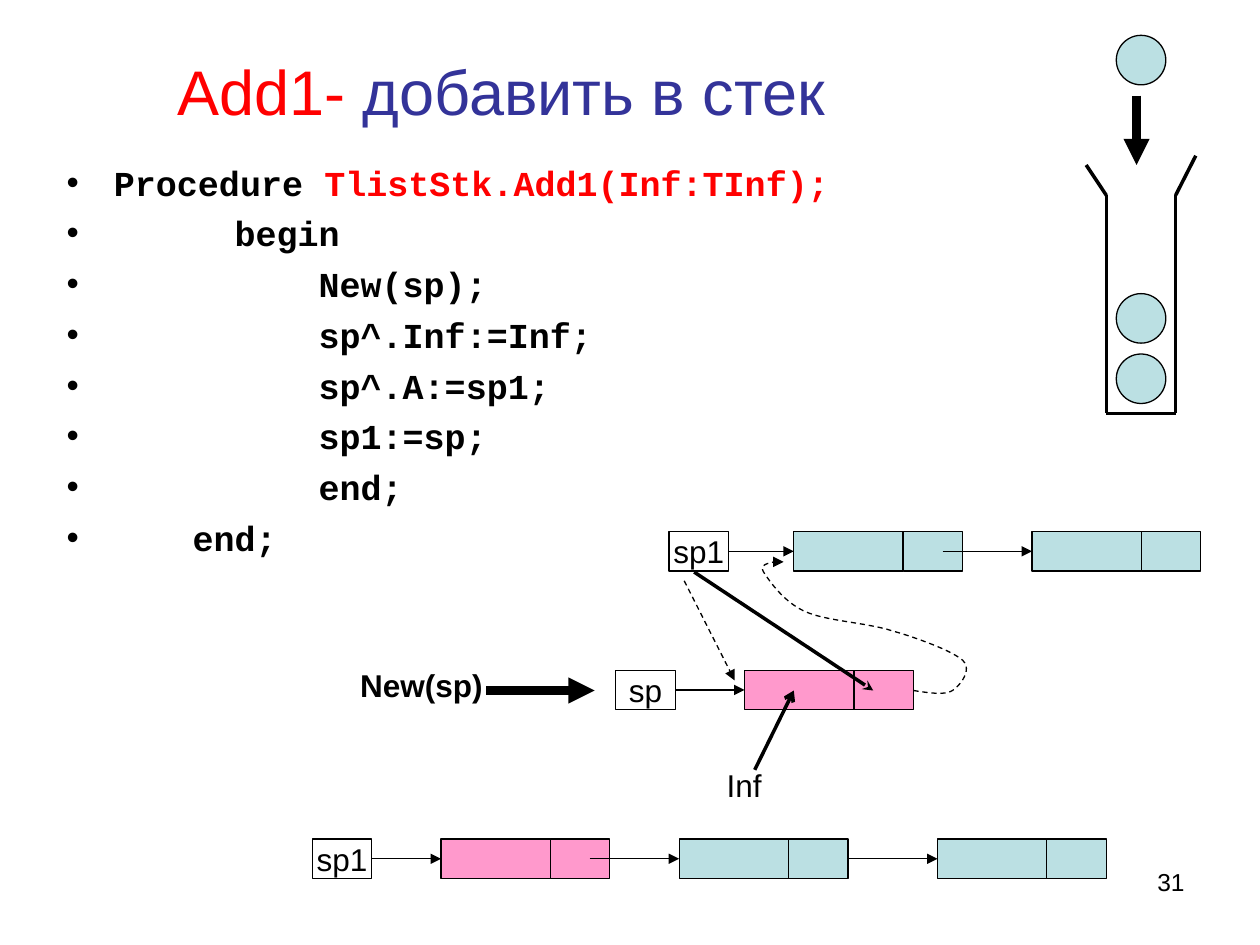
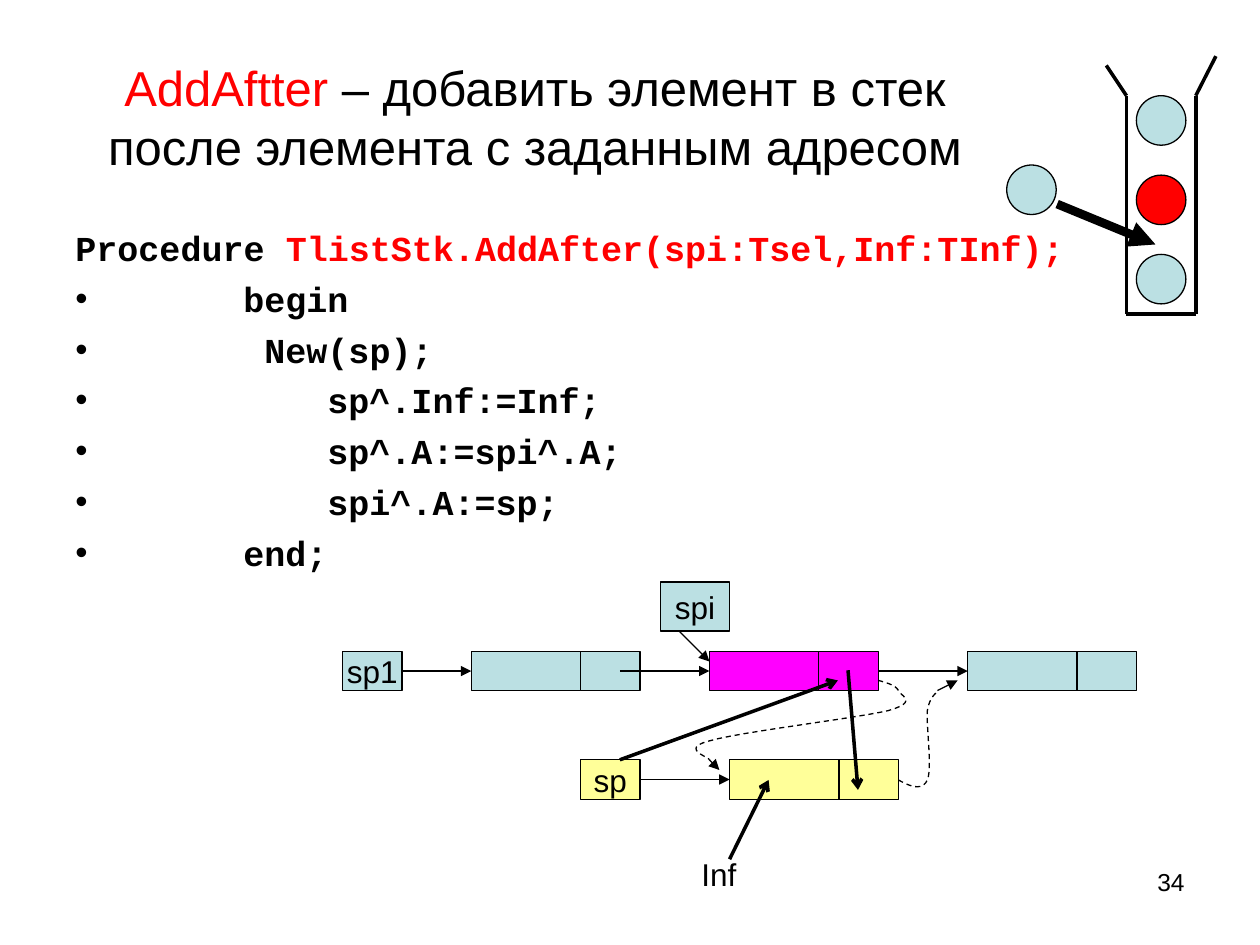
import pptx
import pptx.util
import pptx.dml.color
import pptx.enum.dml
import pptx.enum.shapes
import pptx.enum.text
import pptx.oxml.ns
from lxml import etree

Pt = pptx.util.Pt
SHAPE = pptx.enum.shapes.MSO_SHAPE
ALIGN = pptx.enum.text.PP_ALIGN
ANCHOR = pptx.enum.text.MSO_ANCHOR
qn = pptx.oxml.ns.qn

COLORS = {
    "ink": "000000",
    "accent": "FF0000",
    "heading": "333399",
    "node": "BBE0E3",
    "new": "FF99CC",
    "target": "FF00FF",
    "inserted": "FFFF99",
}
THIN, MEDIUM, THICK = 0.75, 2, 5
DATA_WIDTH, LINK_WIDTH, NODE_HEIGHT = 62.5, 34, 22.5
NODE_STEPS = (0, 136.1, 283.7)
LINK_STARTS = (51.1, 51.1)
BALL = 28.3
CURVE_STEPS = 12


def rgb(name):
    return pptx.dml.color.RGBColor.from_string(COLORS[name])


def style_outline(line, width, dashed=False):
    line.color.rgb = rgb("ink")
    line.width = Pt(width)
    if dashed:
        line.dash_style = pptx.enum.dml.MSO_LINE.DASH


def write_runs(paragraph, runs, size, font="Arial", bold=False):
    paragraph.font.size = Pt(size)
    paragraph.font.name = font
    paragraph.font.bold = bold
    for words, color in runs:
        run = paragraph.add_run()
        run.text = words
        run.font.color.rgb = rgb(color)


def bezier(start, controls):
    points = [start, *controls]
    for step in range(1, CURVE_STEPS + 1):
        t = step / CURVE_STEPS
        weights = ((1 - t) ** 3, 3 * t * (1 - t) ** 2, 3 * t * t * (1 - t), t ** 3)
        yield tuple(sum(w * p[axis] for w, p in zip(weights, points)) for axis in (0, 1))


class Region:
    def __init__(self, slide, left, top):
        self.slide, self.left, self.top = slide, left, top

    def inside(self, x, y):
        return Region(self.slide, self.left + x, self.top + y)

    def place(self, x, y):
        return Pt(self.left + x), Pt(self.top + y)

    def text(self, x, y, width, height):
        box = self.slide.shapes.add_textbox(*self.place(x, y), Pt(width), Pt(height))
        box.text_frame.word_wrap = True
        return box.text_frame

    def label(self, x, y, width, words, bold=False):
        paragraph = self.text(x, y, width, 28.8).paragraphs[0]
        paragraph.space_before = Pt(11.2)
        write_runs(paragraph, [(words, "ink")], 18, bold=bold)

    def figure(self, kind, x, y, width, height, color, words=None):
        shape = self.slide.shapes.add_shape(kind, *self.place(x, y), Pt(width), Pt(height))
        shape.shadow.inherit = False
        style_outline(shape.line, THIN)
        if color:
            shape.fill.solid()
            shape.fill.fore_color.rgb = rgb(color)
        else:
            shape.fill.background()
        if words:
            frame = shape.text_frame
            frame.word_wrap = False
            frame.vertical_anchor = ANCHOR.MIDDLE
            frame.paragraphs[0].alignment = ALIGN.CENTER
            write_runs(frame.paragraphs[0], [(words, "ink")], 18)

    def box(self, *placement):
        self.figure(SHAPE.RECTANGLE, *placement)

    def ball(self, x, y, color="node"):
        self.figure(SHAPE.OVAL, x, y, BALL, BALL, color)

    def line(self, start, end, width=THIN, head=None, dashed=False):
        connector = self.slide.shapes.add_connector(
            pptx.enum.shapes.MSO_CONNECTOR.STRAIGHT, *self.place(*start), *self.place(*end))
        style_outline(connector.line, width, dashed)
        properties = connector._element.spPr
        if head:
            etree.SubElement(properties.find(qn("a:ln")), qn("a:tailEnd"), type=head)
        etree.SubElement(properties, qn("a:effectLst"))

    def arrow(self, start, end, width=THIN, head="triangle", dashed=False):
        self.line(start, end, width, head, dashed)

    def curve(self, start, *segments):
        points = []
        previous = start
        for segment in segments:
            points.extend(bezier(previous, segment))
            previous = segment[-1]
        builder = self.slide.shapes.build_freeform(*self.place(*start), scale=1)
        builder.add_line_segments([self.place(*point) for point in points], close=False)
        shape = builder.convert_to_shape()
        shape.shadow.inherit = False
        shape.fill.background()
        style_outline(shape.line, THIN, dashed=True)


def add_title(region, width, height, size, runs):
    frame = region.text(0, 0, width, height)
    frame.vertical_anchor = ANCHOR.MIDDLE
    frame.paragraphs[0].alignment = ALIGN.CENTER
    write_runs(frame.paragraphs[0], runs, size)


def add_code(region, width, height, lines):
    frame = region.text(0, 0, width, height)
    for index, (indent, runs) in enumerate(lines):
        paragraph = frame.add_paragraph() if index else frame.paragraphs[0]
        paragraph.space_before = Pt(5)
        if indent:
            properties = paragraph._p.get_or_add_pPr()
            properties.set("marL", str(Pt(indent)))
            properties.set("indent", str(-Pt(indent)))
            bullet_color = etree.SubElement(properties, qn("a:buClr"))
            etree.SubElement(bullet_color, qn("a:srgbClr"), val=COLORS["ink"])
            etree.SubElement(properties, qn("a:buFont"), typeface="Arial")
            etree.SubElement(properties, qn("a:buChar"), char="•")
        if isinstance(runs, str):
            runs = [(runs, "ink")]
        write_runs(paragraph, runs, 20, "Courier New", bold=True)


def add_page_number(region, number):
    paragraph = region.text(0, 0, 168, 37.4).paragraphs[0]
    paragraph.alignment = ALIGN.RIGHT
    write_runs(paragraph, [(number, "ink")], 14)


def add_glass(region):
    width, height = 39.6, 124.6
    outline = [(-11.5, -17.3), (0, 0), (0, height), (width, height),
               (width, 0), (width + 11.5, -22.6)]
    for start, end in zip(outline, outline[1:]):
        region.line(start, end, MEDIUM)


def add_chain(region, pointer, pointer_color, node_colors, lead=39.6):
    middle = NODE_HEIGHT / 2
    region.box(-lead - LINK_WIDTH, 0, LINK_WIDTH, NODE_HEIGHT, pointer_color, pointer)
    for x, color in zip(NODE_STEPS, node_colors):
        region.box(x, 0, DATA_WIDTH, NODE_HEIGHT, color)
        region.box(x + DATA_WIDTH, 0, LINK_WIDTH, NODE_HEIGHT, color)
    gaps = (lead, *LINK_STARTS)
    for x, gap, _ in zip(NODE_STEPS, gaps, node_colors):
        region.arrow((x - gap, middle), (x, middle))


def add_inf(region):
    region.label(-23.1, -5.7, 45.4, "Inf")
    region.arrow((0, 0), (22.3, -45.3), MEDIUM, "arrow")


def draw_push(region):
    add_glass(region)
    for y in (-91.4, 56.2, 90.7):
        region.ball(5.7, y)
    region.arrow((17.3, -56.9), (17.3, -17.3), THICK)


def draw_insert(region):
    add_glass(region)
    region.ball(-68.4, 39.6)
    for y, color in zip((0, 45.4, 90.7), ("node", "accent", "node")):
        region.ball(5.7, y, color)
    region.arrow((-39.6, 61.9), (16.6, 85), THICK)


def draw_add_first(region):
    add_chain(region.inside(273.6, 3.8), "sp1", None, ["node", "node"], 37.3)
    region.label(18.7, 77.3, 85, "New(sp)", bold=True)
    region.arrow((97.9, 94.6), (159.8, 94.6), THICK)
    add_chain(region.inside(245.5, 83), "sp", None, ["new"])
    add_inf(region.inside(251.3, 139.9))
    region.arrow((216.7, 26.9), (319, 94.6), MEDIUM, "stealth")
    region.curve(
        (342, 94.6),
        ((350.6, 96), (360, 97.4), (364.3, 94.6)),
        ((368.6, 91.7), (375.8, 83), (370.1, 77.3)),
        ((364.3, 72.2), (345.6, 65), (330.5, 60.7)),
        ((315.4, 55.7), (291.6, 55), (279.4, 49.2)),
        ((267.1, 43.4), (259.2, 31.2), (256.3, 26.9)),
        ((253.4, 21.8), (261.4, 21.8), (262.1, 21.1)))
    region.arrow((262.1, 21.1), (267.8, 21.1))
    region.arrow((211, 31.9), (239.8, 88.8), dashed=True)
    add_chain(region.inside(72, 179.5), "sp1", None, ["new", "node", "node"])


def draw_add_after(region):
    add_chain(region.inside(89.3, 42.2), "sp1", "node", ["node", "target", "node"])
    region.box(197.3, 2.6, 39.6, 28.1, "node", "spi")
    region.arrow((208.1, 30.7), (225.4, 48))
    add_chain(region.inside(236.9, 104.2), "sp", "inserted", ["inserted"], 51.1)
    add_inf(region.inside(236.9, 161))
    region.arrow((304.6, 53), (310.3, 121.4), MEDIUM, "arrow")
    region.curve(
        (333.4, 115.7),
        ((339.8, 119.3), (347, 122.2), (349.9, 115.7)),
        ((352.8, 109.2), (349.2, 84.7), (349.9, 76.1)),
        ((351.4, 67.4), (355, 66.7), (355.7, 64.6)))
    region.arrow((355.7, 64.6), (367.2, 58.8))
    region.arrow((174.2, 104.2), (298.8, 58.8), MEDIUM, "arrow")
    region.curve(
        (321.8, 58.8),
        ((326.9, 60.2), (331.9, 61.7), (333.4, 64.6)),
        ((334.1, 67.4), (345.6, 71), (327.6, 76.1)),
        ((309.6, 80.4), (242.6, 88.3), (225.4, 93.4)),
        ((208.1, 97.7), (225.4, 102.7), (225.4, 104.2)))
    region.arrow((225.4, 104.2), (231.1, 110))


def build_add_first(slide):
    add_title(Region(slide, 36, 26), 511, 51, 36,
              [("Add1- ", "accent"), ("добавить в стек ", "heading")])
    add_code(Region(slide, 31, 88.5), 521, 238, [
        (27, [("Procedure ", "ink"), ("TlistStk.Add1(Inf:TInf);", "accent")]),
        (96, "begin"), (144, "New(sp);"), (144, "sp^.Inf:=Inf;"),
        (144, "sp^.A:=sp1;"), (144, "sp1:=sp;"), (144, "end;"), (72, "end;")])
    draw_push(Region(slide, 632.2, 111.6))
    draw_add_first(Region(slide, 180, 300))
    add_page_number(Region(slide, 516, 492), "31")


def build_add_after(slide):
    add_title(Region(slide, 36, 21.6), 539.3, 90, 28,
              [("AddAftter", "accent"),
               (" – добавить элемент в стек после элемента с заданным адресом", "ink")])
    add_code(Region(slide, 36, 126), 613.4, 229, [
        (0, [("Procedure ", "ink"), ("TlistStk.AddAfter(spi:Tsel,Inf:TInf);", "accent")]),
        (96, "begin"), (108, "New(sp);"), (144, "sp^.Inf:=Inf;"),
        (144, "sp^.A:=spi^.A;"), (144, "spi^.A:=sp;"), (96, "end;")])
    draw_insert(Region(slide, 643.7, 54.7))
    draw_add_after(Region(slide, 180, 330))
    add_page_number(Region(slide, 516, 492), "34")


deck = pptx.Presentation()
deck.slide_width, deck.slide_height = Pt(720), Pt(540)
for build in (build_add_first, build_add_after):
    build(deck.slides.add_slide(deck.slide_layouts[6]))
deck.save("out.pptx")
